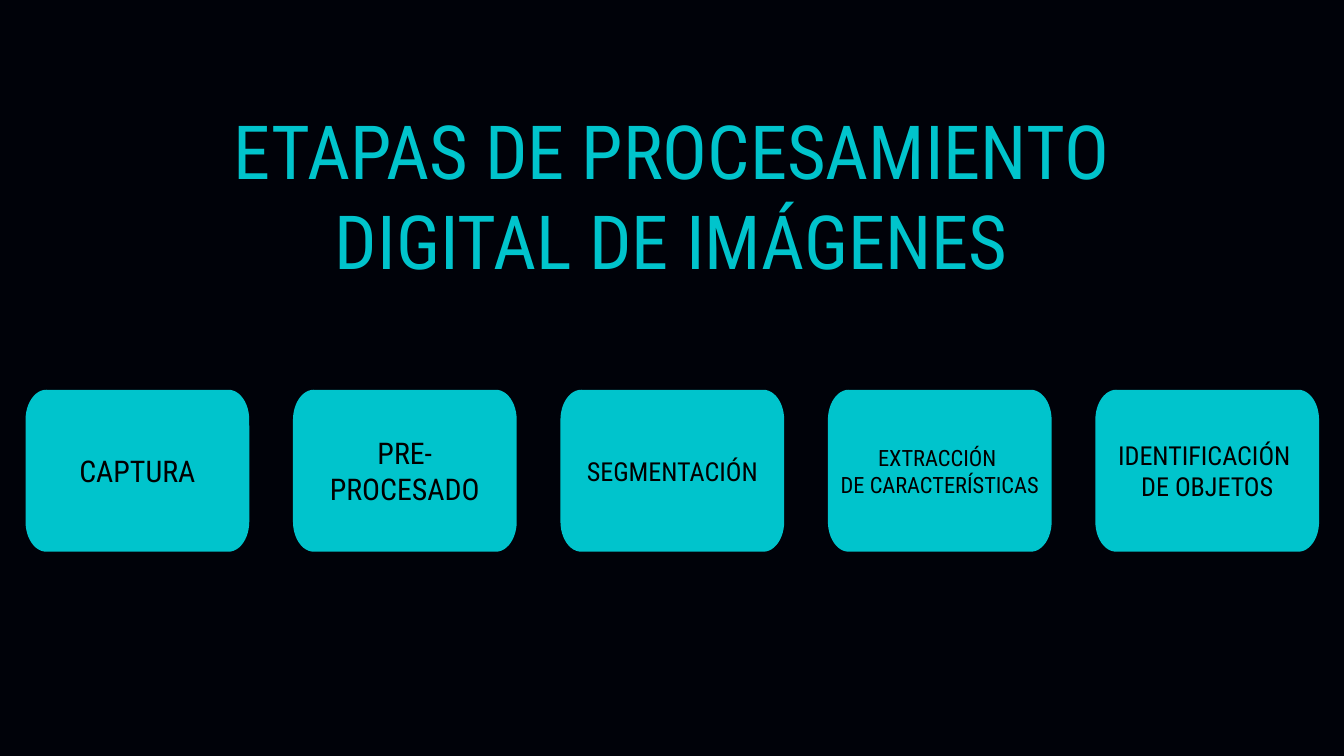
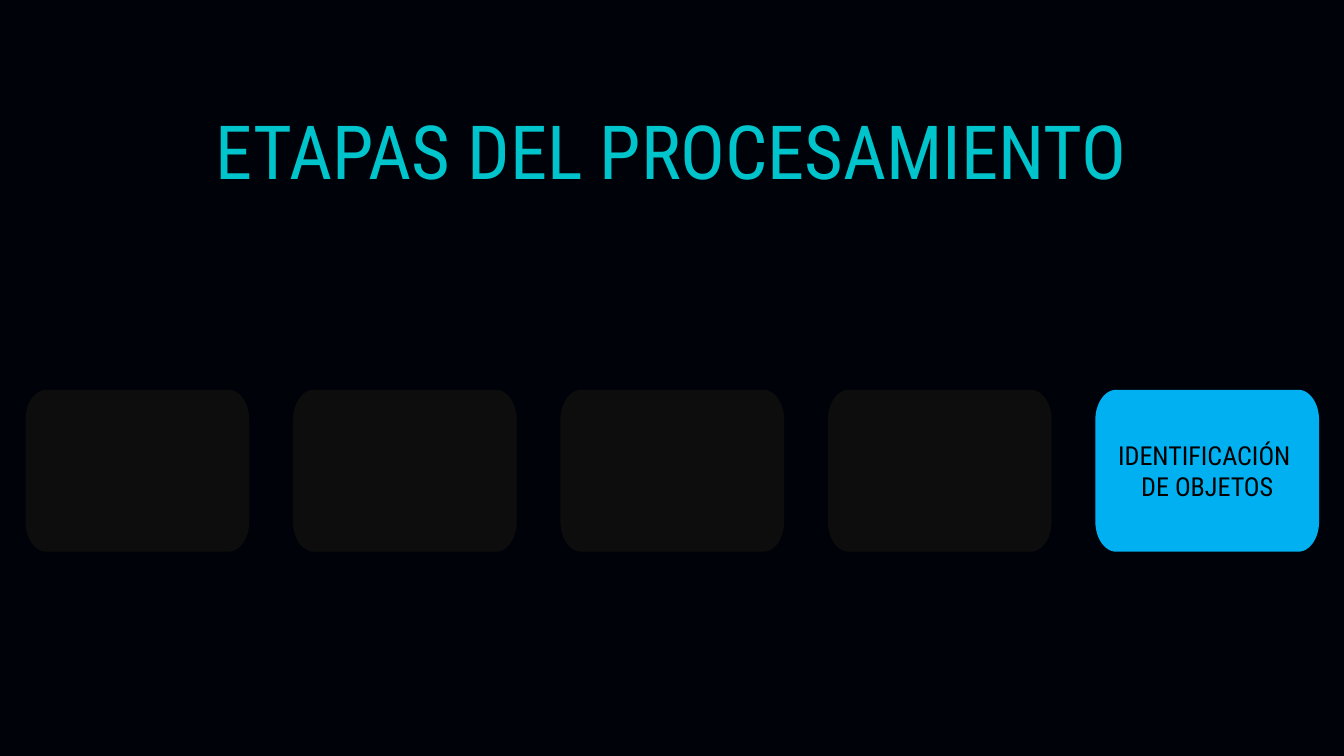
from dataclasses import dataclass

from lxml import etree
from pptx import Presentation
from pptx.dml.color import RGBColor
from pptx.enum.text import MSO_ANCHOR, MSO_AUTO_SIZE, PP_ALIGN
from pptx.oxml.ns import qn
from pptx.util import Inches, Pt

CENTER = PP_ALIGN.CENTER
TOP, MIDDLE = MSO_ANCHOR.TOP, MSO_ANCHOR.MIDDLE
NO_AUTOFIT = MSO_AUTO_SIZE.NONE
TITLE_ONLY = 5
QUARTER_TURN = 90 * 60000


@dataclass(frozen=True)
class Theme:
    width: float = 20
    height: float = 11.25
    font: str = "Roboto Condensed"
    background: str = "000209"
    accent: str = "00C4CC"
    active: str = "00B0F0"
    dimmed: str = "0D0D0D"
    ink: str = "000000"
    title_size: int = 80
    title_leading: int = 96
    large: int = 32
    medium: int = 28
    small: int = 24


T = Theme()
TITLE_BOX = (2.29, 1.56, 15.41, 2.69)
FIRST_STAGE = (0.38, 5.8, 3.33, 2.41)
STAGE_PITCH = 3.98
CORNER_X, CORNER_Y = 0.31, 0.45

STAGES = [
    (["CAPTURA"], T.large),
    (["PRE-", "PROCESADO"], T.large),
    (["SEGMENTACIÓN"], T.medium),
    (["EXTRACCIÓN ", "DE CARACTERÍSTICAS"], T.small),
    (["IDENTIFICACIÓN ", "DE OBJETOS"], T.medium),
]


def add_line(p, text, size, color):
    p.alignment = CENTER
    r = p.add_run()
    r.text = text
    r.font.name = T.font
    r.font.size = Pt(size)
    r.font.color.rgb = RGBColor.from_string(color)


def set_title(s, text, box):
    sp = s.shapes.title
    sp.left, sp.top, sp.width, sp.height = map(Inches, box)
    tf = sp.text_frame
    tf.margin_left = tf.margin_top = tf.margin_right = tf.margin_bottom = 0
    tf.word_wrap = True
    tf.auto_size = NO_AUTOFIT
    tf.vertical_anchor = TOP
    p = tf.paragraphs[0]
    p.line_spacing = Pt(T.title_leading)
    add_line(p, text, T.title_size, T.accent)


def round_corners(sp):
    corners = list(sp._element.iter(qn("a:lnTo")))[1::2]
    for i, corner in enumerate(corners):
        arc = etree.Element(
            qn("a:arcTo"),
            wR=str(Inches(CORNER_X)),
            hR=str(Inches(CORNER_Y)),
            stAng=str((i + 3) % 4 * QUARTER_TURN),
            swAng=str(QUARTER_TURN),
        )
        corner.getparent().replace(corner, arc)


def add_panel(s, box):
    left, top, width, height = box
    right, bottom = left + width, top + height
    x1, x2 = left + CORNER_X, right - CORNER_X
    y1, y2 = top + CORNER_Y, bottom - CORNER_Y
    outline = [(x1, top), (x2, top), (right, y1), (right, y2),
               (x2, bottom), (x1, bottom), (left, y2), (left, y1), (x1, top)]
    start, *rest = [(Inches(x), Inches(y)) for x, y in outline]
    builder = s.shapes.build_freeform(*start)
    builder.add_line_segments(rest, close=True)
    sp = builder.convert_to_shape()
    round_corners(sp)
    return sp


def add_stage(s, lines, size, fill, box):
    sp = add_panel(s, box)
    sp.shadow.inherit = False
    sp.fill.solid()
    sp.fill.fore_color.rgb = RGBColor.from_string(fill)
    sp.line.fill.background()
    if fill == T.dimmed:
        return
    tf = sp.text_frame
    tf.word_wrap = True
    tf.vertical_anchor = MIDDLE
    for i, line in enumerate(lines):
        p = tf.add_paragraph() if i else tf.paragraphs[0]
        add_line(p, line, size, T.ink)


def add_stage_row(s, fills, first_box):
    left, top, width, height = first_box
    for i, ((lines, size), fill) in enumerate(zip(STAGES, fills)):
        add_stage(s, lines, size, fill, (left + i * STAGE_PITCH, top, width, height))


def add_stages_slide(prs, title, fills):
    s = prs.slides.add_slide(prs.slide_layouts[TITLE_ONLY])
    set_title(s, title, TITLE_BOX)
    add_stage_row(s, fills, FIRST_STAGE)


def main():
    prs = Presentation()
    prs.slide_width, prs.slide_height = Inches(T.width), Inches(T.height)
    background = prs.slide_master.background.fill
    background.solid()
    background.fore_color.rgb = RGBColor.from_string(T.background)

    count = len(STAGES)
    add_stages_slide(prs, "ETAPAS DE PROCESAMIENTO DIGITAL DE IMÁGENES", [T.accent] * count)
    add_stages_slide(prs, "ETAPAS DEL PROCESAMIENTO", [T.dimmed] * (count - 1) + [T.active])
    prs.save("out.pptx")


if __name__ == "__main__":
    main()
